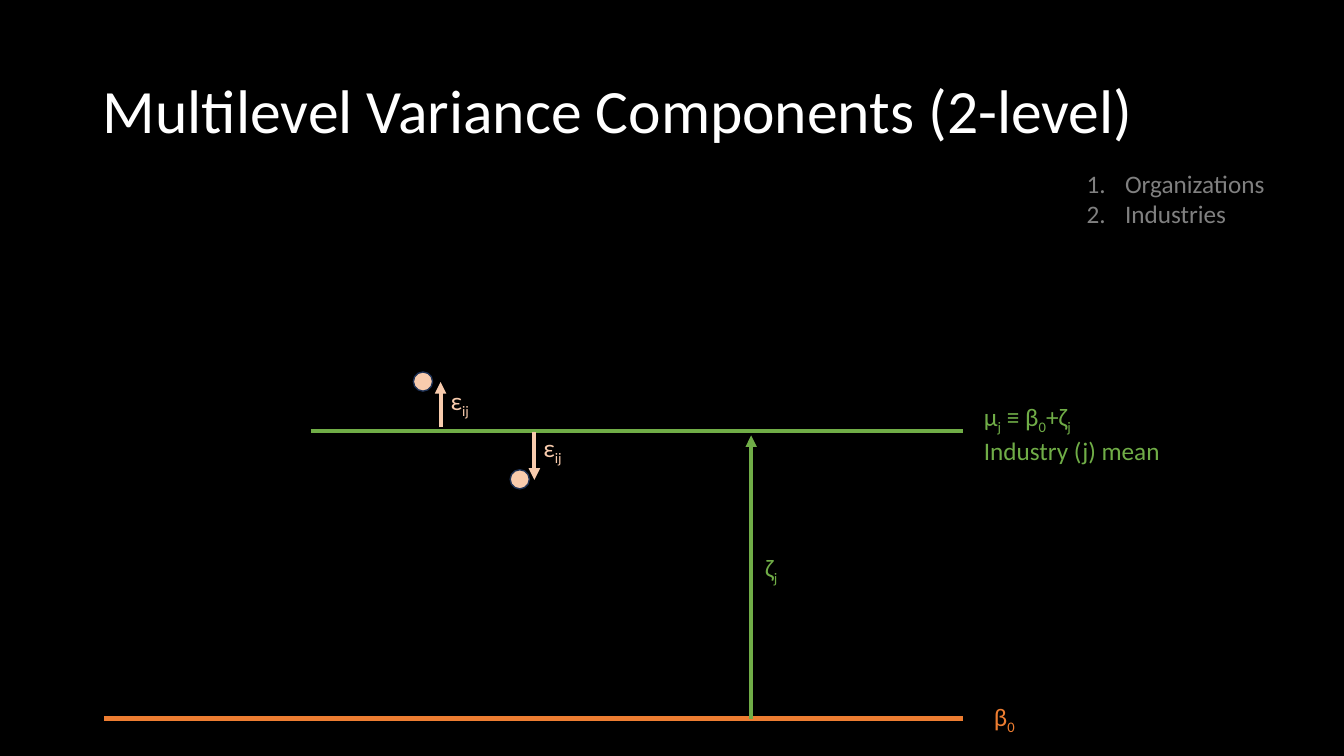
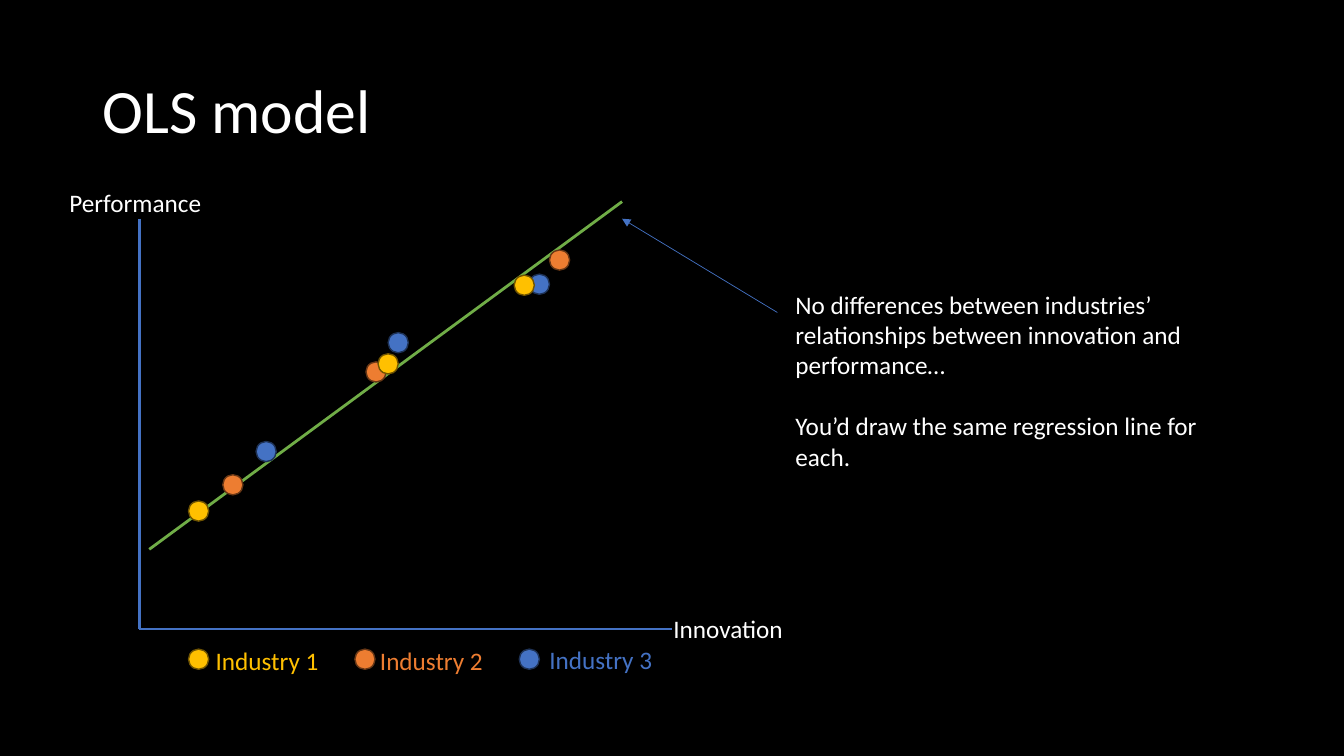
from pptx import Presentation
from pptx.dml.color import RGBColor
from pptx.enum.shapes import MSO_CONNECTOR, MSO_SHAPE
from pptx.enum.text import MSO_ANCHOR, MSO_AUTO_SIZE, PP_ALIGN
from pptx.oxml.ns import qn
from pptx.util import Inches, Pt
from lxml.etree import SubElement

FONT = "Calibri"
BLACK, WHITE, GRAY = "000000", "FFFFFF", "808080"
GREEN, ORANGE, BLUE, YELLOW, PEACH = "70AD47", "ED7D31", "4472C4", "FFC000", "F8CBAD"
OUTLINES = {PEACH: "1E3256", BLUE: "1E3256", ORANGE: "683715", YELLOW: "705400"}

# Odd parts between bars are subscripts.
VARIANCE = {
    "title": "Multilevel Variance Components (2-level)",
    "dot_size": 0.19,
    "dots": [(PEACH, [(4.1, 3.69), (5.06, 4.66)])],
    "lines": [
        ((1.03, 7.13), (9.55, 7.13), ORANGE, 3.5, False),
        ((3.08, 4.28), (9.55, 4.28), GREEN, 2.75, False),
        ((7.45, 7.13), (7.45, 4.32), GREEN, 2.75, True),
        ((4.37, 4.24), (4.37, 3.79), PEACH, 2.75, True),
        ((5.3, 4.29), (5.3, 4.76), PEACH, 2.75, True),
    ],
    "texts": [
        (["β|0"], (9.76, 6.91, 2.45, 0.4), ORANGE),
        (["μ|j| ≡ β|0|+ζ|j", "Industry (j) mean"], (9.66, 3.93, 2.52, 0.71), GREEN),
        (["ζ|j"], (7.49, 5.43, 0.68, 0.4), GREEN),
        (["ε|ij"], (5.29, 4.24, 0.68, 0.4), PEACH),
        (["ε|ij"], (4.37, 3.77, 0.68, 0.4), PEACH),
    ],
}
LEVELS = ["Organizations", "Industries"]

OLS = {
    "title": "OLS model",
    "dot_size": 0.2,
    "lines": [
        ((6.17, 2), (1.48, 5.45), GREEN, 2, False),
        ((1.38, 2.17), (1.38, 6.24), BLUE, 2, False),
        ((1.38, 6.24), (6.67, 6.24), BLUE, 2, False),
        ((7.71, 3.1), (6.17, 2.17), BLUE, 0.5, True),
    ],
    "dots": [
        (BLUE, [(2.54, 4.38), (3.85, 3.3), (5.25, 2.72), (5.15, 6.44)]),
        (ORANGE, [(2.21, 4.71), (3.63, 3.59), (5.45, 2.48), (3.52, 6.44)]),
        (YELLOW, [(1.87, 4.97), (3.75, 3.51), (5.1, 2.73), (1.87, 6.44)]),
    ],
    "texts": [
        (["Performance"], (0.59, 1.81, 1.61, 0.4), WHITE),
        (["Innovation"], (6.58, 6.04, 1.32, 0.4), WHITE),
        (["Industry 1"], (2.04, 6.35, 1.32, 0.4), YELLOW),
        (["Industry 2"], (3.67, 6.35, 1.32, 0.4), ORANGE),
        (["Industry 3"], (5.35, 6.34, 1.32, 0.4), BLUE),
    ],
}
CONCLUSION = [
    "No differences between industries’ relationships between innovation and performance…",
    "You’d draw the same regression line for each.",
]


def color(value):
    return RGBColor.from_string(value)


def style(paragraph, size, value):
    paragraph.font.name = FONT
    paragraph.font.size = Pt(size)
    paragraph.font.color.rgb = color(value)


def add_title(slide, wording):
    title = slide.shapes.title
    title.left, title.top, title.width, title.height = map(Inches, (0.92, 0.4, 11.5, 1.45))
    frame = title.text_frame
    frame.text = wording
    frame.auto_size = MSO_AUTO_SIZE.NONE
    frame.vertical_anchor = MSO_ANCHOR.MIDDLE
    heading = frame.paragraphs[0]
    heading.alignment = PP_ALIGN.LEFT
    heading.line_spacing = 0.9
    style(heading, 44, WHITE)


def add_text(slide, lines, place, value, numbered=False, gap=0):
    frame = slide.shapes.add_textbox(*map(Inches, place)).text_frame
    frame.word_wrap = True
    for index, line in enumerate(lines):
        paragraph = frame.add_paragraph() if index else frame.paragraphs[0]
        style(paragraph, 18, value)
        if index and gap:
            paragraph.space_before = Pt(gap)
        if numbered:
            properties = paragraph._p.get_or_add_pPr()
            properties.set("marL", str(Inches(0.38)))
            properties.set("indent", str(-Inches(0.38)))
            numbering = properties.makeelement(qn("a:buAutoNum"), {"type": "arabicPeriod"})
            properties.insert_element_before(numbering, "a:tabLst", "a:defRPr", "a:extLst")
        for position, part in enumerate(line.split("|")):
            run = paragraph.add_run()
            run.text = part
            if position % 2:
                run._r.get_or_add_rPr().set("baseline", "-25000")


def add_line(slide, start, end, value, weight, arrow):
    connector = slide.shapes.add_connector(
        MSO_CONNECTOR.STRAIGHT, *map(Inches, (*start, *end)))
    connector.line.color.rgb = color(value)
    connector.line.width = Pt(weight)
    if arrow:
        SubElement(connector.line._get_or_add_ln(), qn("a:tailEnd"), type="triangle")
    SubElement(connector._element.spPr, qn("a:effectLst"))


def add_dot(slide, left, top, size, value):
    dot = slide.shapes.add_shape(MSO_SHAPE.OVAL, *map(Inches, (left, top, size, size)))
    dot.shadow.inherit = False
    dot.fill.solid()
    dot.fill.fore_color.rgb = color(value)
    dot.line.color.rgb = color(OUTLINES[value])
    dot.line.width = Pt(1)


def add_diagram(deck, content):
    slide = deck.slides.add_slide(deck.slide_layouts[5])
    add_title(slide, content["title"])
    for line in content["lines"]:
        add_line(slide, *line)
    for value, places in content["dots"]:
        for left, top in places:
            add_dot(slide, left, top, content["dot_size"], value)
    for text in content["texts"]:
        add_text(slide, *text)
    return slide


def main():
    deck = Presentation()
    deck.slide_width, deck.slide_height = Inches(13.33), Inches(7.5)
    backdrop = deck.slide_master.background.fill
    backdrop.solid()
    backdrop.fore_color.rgb = color(BLACK)

    variance = add_diagram(deck, VARIANCE)
    add_text(variance, LEVELS, (10.68, 1.62, 2.52, 0.71), GRAY, numbered=True)

    ols = add_diagram(deck, OLS)
    add_text(ols, CONCLUSION, (7.79, 2.82, 4.69, 1.92), WHITE, gap=22)

    deck.save("out.pptx")


if __name__ == "__main__":
    main()
